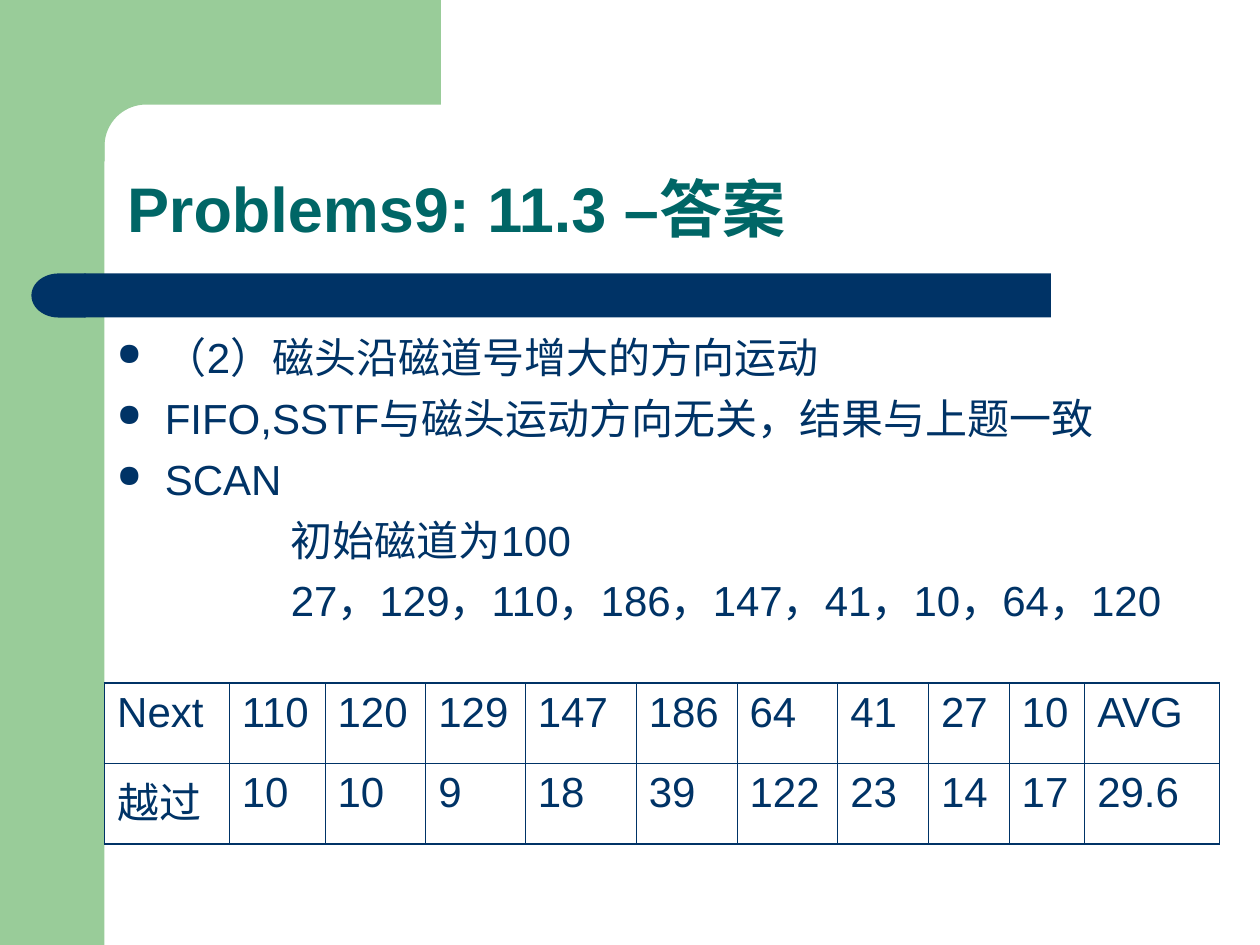
import math

from lxml import etree
from pptx import Presentation
from pptx.dml.color import RGBColor
from pptx.enum import shapes, text
from pptx.oxml import ns
from pptx.util import Inches, Pt

COLORS = {"navy": "003366", "green": "99CC99", "teal": "006666"}
FONT = "Arial"

TITLE = "Problems9: 11.3 –答案"
BULLETS = [
    "（2）磁头沿磁道号增大的方向运动",
    "FIFO,SSTF与磁头运动方向无关，结果与上题一致",
    "SCAN",
]
DETAILS = ["初始磁道为100", "27，129，110，186，147，41，10，64，120"]
SEEKS = [
    ["Next", "110", "120", "129", "147", "186", "64", "41", "27", "10", "AVG"],
    ["越过", "10", "10", "9", "18", "39", "122", "23", "14", "17", "29.6"],
]
COLUMN_WIDTHS = [0.99, 0.76, 0.8, 0.79, 0.88, 0.8, 0.8, 0.72, 0.64, 0.6, 1.07]
ROW_HEIGHT = 0.64
OUTER_LINE, INNER_LINE = 1.08, 0.45


def color(name):
    return RGBColor.from_string(COLORS[name])


def paint(shape, name):
    shape.fill.solid()
    shape.fill.fore_color.rgb = color(name)
    shape.line.fill.background()
    shape.shadow.inherit = False


def add_block(slide, kind, box, name):
    shape = slide.shapes.add_shape(kind, *map(Inches, box))
    paint(shape, name)
    return shape


def add_text_frame(slide, box):
    frame = slide.shapes.add_textbox(*map(Inches, box)).text_frame
    frame.word_wrap = True
    return frame


def style(paragraph, size=24, name="navy", bold=False):
    font = paragraph.font
    font.name, font.size, font.bold = FONT, Pt(size), bold
    font.color.rgb = color(name)


def indent(paragraph, first_line, bullet=None):
    properties = paragraph._p.get_or_add_pPr()
    properties.set("marL", str(Inches(0.38)))
    properties.set("indent", str(Inches(first_line)))
    if bullet:
        etree.SubElement(properties, ns.qn("a:buSzPct")).set("val", "75000")
        etree.SubElement(properties, ns.qn("a:buChar")).set("char", bullet)


def set_borders(cell, widths):
    properties = cell._tc.get_or_add_tcPr()
    for position, (side, width) in enumerate(widths.items()):
        line = etree.Element(ns.qn(f"a:ln{side}"), w=str(Pt(width)))
        fill = etree.SubElement(line, ns.qn("a:solidFill"))
        etree.SubElement(fill, ns.qn("a:srgbClr")).set("val", COLORS["navy"])
        properties.insert(position, line)


def add_decoration(slide):
    # Side band and top corner with a rounded inner edge
    add_block(slide, shapes.MSO_SHAPE.RECTANGLE, (0, 0, 0.83, 7.5), "green")
    radius, center = 0.33, 1.16
    angles = [math.radians(270 - 5 * step) for step in range(19)]
    arc = [(center + radius * math.cos(a), center + radius * math.sin(a)) for a in angles]
    outline = [(3.5, 0.83), *arc, (0.83, 1.28), (0.5, 1.28), (0.5, 0)]
    builder = slide.shapes.build_freeform(Inches(3.5), 0)
    builder.add_line_segments([(Inches(x), Inches(y)) for x, y in outline], close=True)
    paint(builder.convert_to_shape(), "green")

    # Title rule with a round left end
    add_block(slide, shapes.MSO_SHAPE.RECTANGLE, (0.67, 2.17, 7.67, 0.35), "navy")
    cap = add_block(slide, shapes.MSO_SHAPE.FLOWCHART_DELAY, (0.25, 2.17, 0.43, 0.35), "navy")
    cap._element.spPr.xfrm.set("flipH", "1")


def add_body(slide):
    frame = add_text_frame(slide, (0.83, 2.58, 9.65, 4.08))
    lines = [(line, -0.38, "●") for line in BULLETS] + [(line, 1, None) for line in DETAILS]
    for number, (line, first_line, bullet) in enumerate(lines):
        paragraph = frame.add_paragraph() if number else frame.paragraphs[0]
        paragraph.text = line
        indent(paragraph, first_line, bullet)
        if number:
            paragraph.space_before = Pt(6)
        style(paragraph)


def add_seek_table(slide):
    rows, columns = len(SEEKS), len(COLUMN_WIDTHS)
    box = (0.83, 5.42, sum(COLUMN_WIDTHS), rows * ROW_HEIGHT)
    table = slide.shapes.add_table(rows, columns, *map(Inches, box)).table
    table.first_row = table.horz_banding = False
    for column, width in zip(table.columns, COLUMN_WIDTHS):
        column.width = Inches(width)
    for r, values in enumerate(SEEKS):
        table.rows[r].height = Inches(ROW_HEIGHT)
        for c, value in enumerate(values):
            cell = table.cell(r, c)
            cell.text = value
            cell.fill.background()
            style(cell.text_frame.paragraphs[0])
            on_edge = {"L": c == 0, "R": c == columns - 1, "T": r == 0, "B": r == rows - 1}
            set_borders(cell, {side: OUTER_LINE if edge else INNER_LINE
                               for side, edge in on_edge.items()})


def add_title(slide):
    frame = add_text_frame(slide, (0.91, 0.91, 8.51, 1.09))
    frame.vertical_anchor = text.MSO_ANCHOR.BOTTOM
    paragraph = frame.paragraphs[0]
    paragraph.text = TITLE
    paragraph.line_spacing = 0.9
    style(paragraph, 36, "teal", bold=True)


def main():
    presentation = Presentation()
    presentation.slide_width, presentation.slide_height = Inches(10), Inches(7.5)
    slide = presentation.slides.add_slide(presentation.slide_layouts[6])
    add_decoration(slide)
    add_body(slide)
    add_seek_table(slide)
    add_title(slide)
    presentation.save("out.pptx")


if __name__ == "__main__":
    main()
